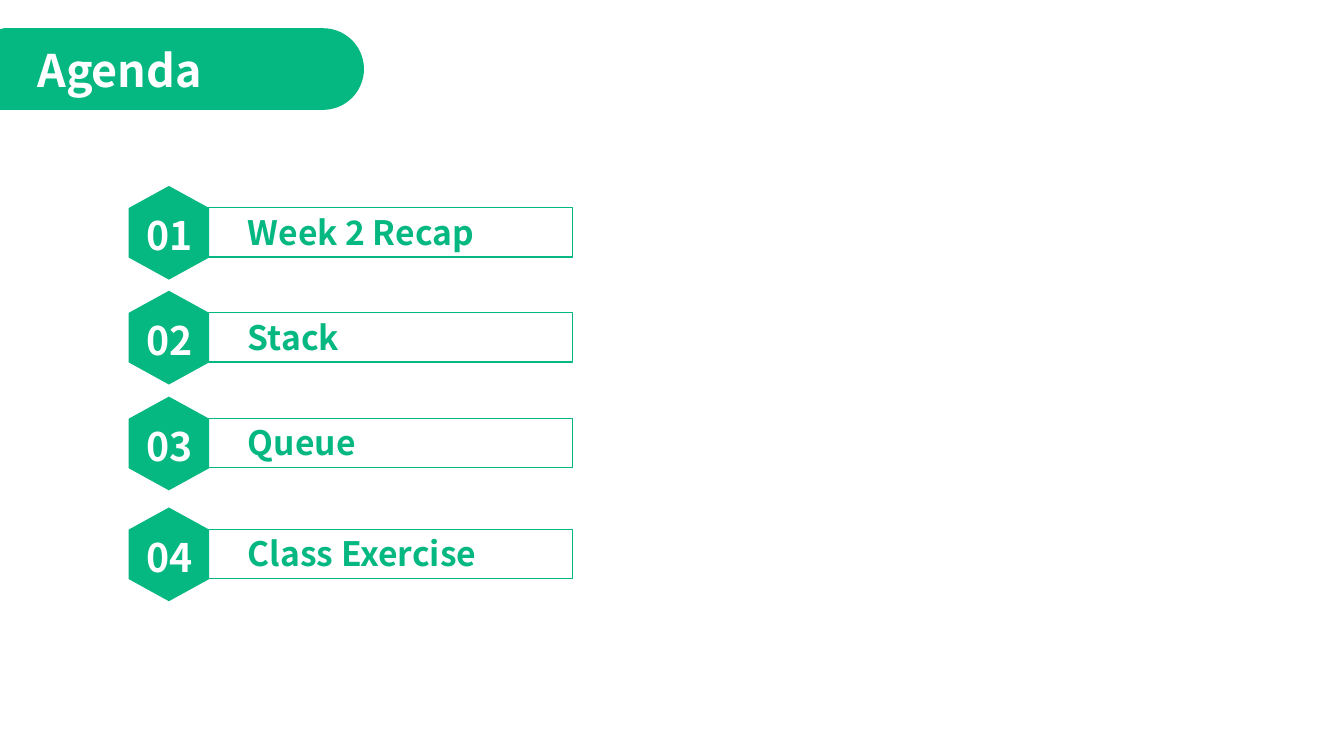
import math

import pptx
import pptx.dml.color
import pptx.enum.shapes
import pptx.enum.text
import pptx.util

PX = 9144
GREEN = pptx.dml.color.RGBColor(0x05, 0xB7, 0x80)
WHITE = pptx.dml.color.RGBColor(0xFF, 0xFF, 0xFF)
FONT = "Noto Sans CJK SC"
SHAPE = pptx.enum.shapes.MSO_SHAPE
TOPICS = [
    (191, "Week 2 Recap"),
    (295, "Stack"),
    (400, "Queue"),
    (510, "Class Exercise"),
]


def px(*lengths):
    return [round(n * PX) for n in lengths]


def write(sp, text, size, color):
    tf = sp.text_frame
    tf.word_wrap = True
    tf.auto_size = pptx.enum.text.MSO_AUTO_SIZE.SHAPE_TO_FIT_TEXT
    tf.vertical_anchor = pptx.enum.text.MSO_ANCHOR.TOP
    p = tf.paragraphs[0]
    p.alignment = pptx.enum.text.PP_ALIGN.LEFT
    r = p.add_run()
    r.text = text
    r.font.name = FONT
    r.font.size = pptx.util.Pt(size)
    r.font.bold = True
    r.font.color.rgb = color


def fill_green(sp):
    sp.shadow.inherit = False
    sp.fill.solid()
    sp.fill.fore_color.rgb = GREEN
    sp.line.fill.background()


def add_banner(slide, left, top, width, height):
    radius = height / 2
    center_x, center_y = left + width - radius, top + radius
    angles = [math.radians(a) for a in range(-90, 91, 5)]
    arc = [px(center_x + radius * math.cos(a), center_y + radius * math.sin(a))
           for a in angles]
    corners = [px(left, top + height), px(left, top + 1)]
    builder = slide.shapes.build_freeform(*px(left + 4, top), scale=1.0)
    builder.add_line_segments(arc + corners, close=True)
    sp = builder.convert_to_shape()
    fill_green(sp)

    title = slide.shapes.title
    title.left, title.top, title.width, title.height = px(left + 27, top + 9, 306, 64)
    write(title, "Agenda", size=32, color=WHITE)
    title.element.addprevious(sp.element)


def add_topic(slide, left, top, number, topic):
    frame = slide.shapes.add_shape(SHAPE.RECTANGLE, *px(left + 84, top + 15, 363, 49))
    frame.shadow.inherit = False
    frame.fill.background()
    frame.line.color.rgb = GREEN
    frame.line.width = pptx.util.Pt(1)

    label = slide.shapes.add_textbox(*px(left + 115, top + 14, 273, 50))
    write(label, topic, size=24, color=GREEN)

    badge = slide.shapes.add_group_shape()
    hexagon = badge.shapes.add_shape(SHAPE.HEXAGON, *px(left, top, 93, 80))
    hexagon.adjustments[0] = 0.275
    hexagon.rotation = 90
    fill_green(hexagon)
    digits = badge.shapes.add_textbox(*px(left + 14, top + 14, 82, 57))
    write(digits, f"{number:02d}", size=28, color=WHITE)


def main():
    prs = pptx.Presentation()
    prs.slide_width, prs.slide_height = pptx.util.Inches(13.33), pptx.util.Inches(7.5)
    slide = prs.slides.add_slide(prs.slide_layouts.get_by_name("Title Only"))
    add_banner(slide, 0, 28, 361, 81)
    for number, (top, topic) in enumerate(TOPICS, start=1):
        add_topic(slide, 121, top, number, topic)
    prs.save("out.pptx")


if __name__ == "__main__":
    main()
